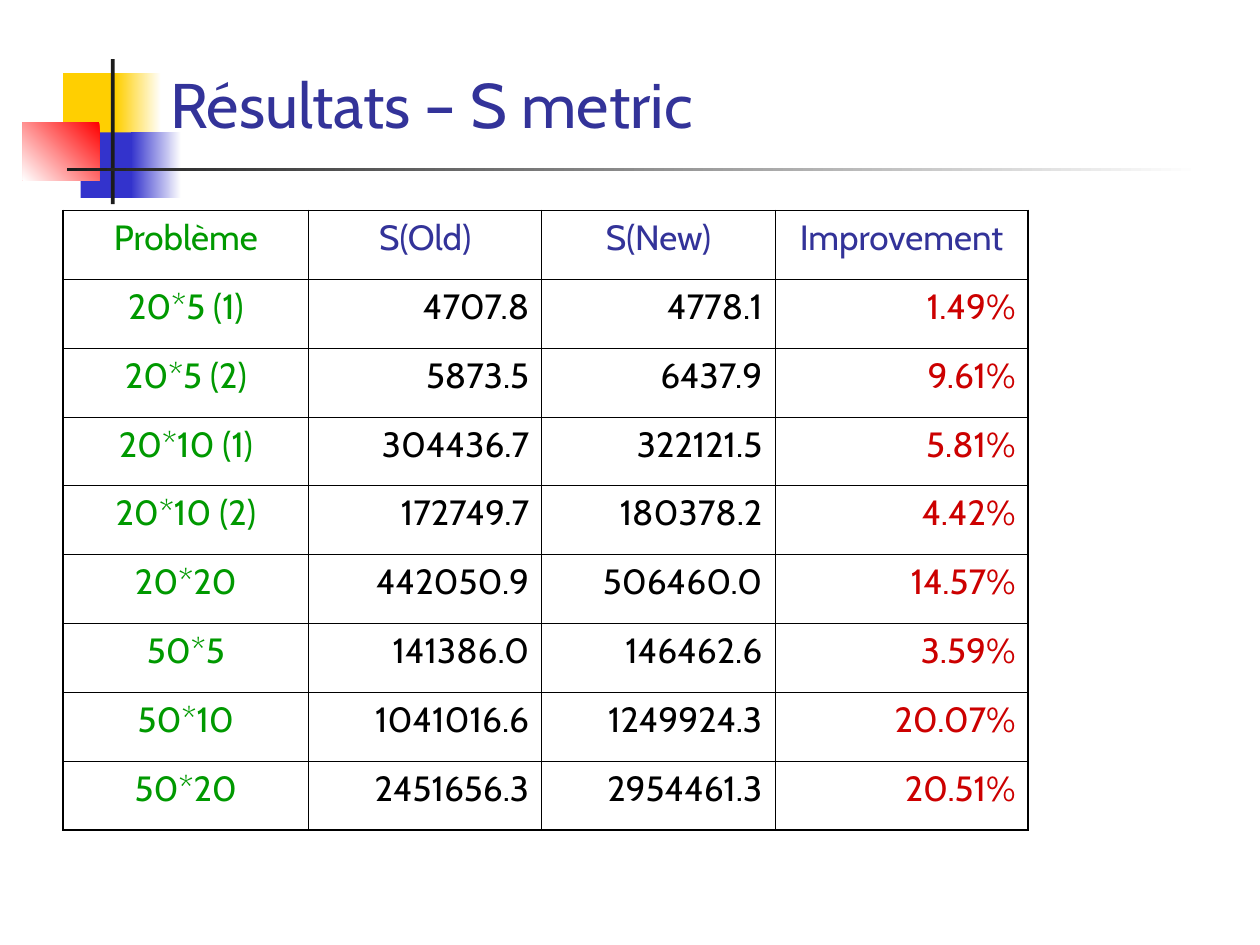
from dataclasses import dataclass

from lxml import etree
from pptx import Presentation
from pptx import util as u
from pptx.dml.color import RGBColor
from pptx.enum import shapes, text
from pptx.oxml.ns import qn


@dataclass(frozen=True)
class Theme:
    font: str = "Cabin"
    title_size: int = 36
    cell_size: int = 20
    space_before: int = 5
    outer_line: float = 1.08
    inner_line: float = 0.45
    white: str = "FFFFFF"
    black: str = "000000"
    title: str = "333399"
    problem: str = "009900"
    gain: str = "CC0000"
    yellow: str = "FFCF01"
    blue: str = "3333CC"
    red: str = "FF0000"
    bar: str = "1C1C1C"


THEME = Theme()
WIDTH, HEIGHT = u.Inches(10), u.Inches(7.5)

HEADERS = ["Problème", "S(Old)", "S(New)", "Improvement"]
RESULTS = [
    ["20*5 (1)", "4707.8", "4778.1", "1.49%"],
    ["20*5 (2)", "5873.5", "6437.9", "9.61%"],
    ["20*10 (1)", "304436.7", "322121.5", "5.81%"],
    ["20*10 (2)", "172749.7", "180378.2", "4.42%"],
    ["20*20", "442050.9", "506460.0", "14.57%"],
    ["50*5", "141386.0", "146462.6", "3.59%"],
    ["50*10", "1041016.6", "1249924.3", "20.07%"],
    ["50*20", "2451656.3", "2954461.3", "20.51%"],
]
COLUMN_WIDTHS = [1.95, 1.85, 1.85, 2.01]


def inches(*lengths):
    return [u.Inches(length) for length in lengths]


def color(code):
    return RGBColor.from_string(code)


def format_text(text_frame, size, code, alignment):
    paragraph = text_frame.paragraphs[0]
    paragraph.alignment = alignment
    for run in paragraph.runs:
        run.font.name = THEME.font
        run.font.size = u.Pt(size)
        run.font.color.rgb = color(code)
    return paragraph


def add_block(slide, box, colors, angle=180):
    """Draw a rectangle, solid for one colour and graded for two."""
    block = slide.shapes.add_shape(shapes.MSO_SHAPE.RECTANGLE, *inches(*box))
    block.shadow.inherit = False
    block.line.fill.background()
    if len(colors) == 1:
        block.fill.solid()
        block.fill.fore_color.rgb = color(colors[0])
        return
    block.fill.gradient()
    block.fill.gradient_angle = angle
    for stop, code in zip(block.fill.gradient_stops, colors):
        stop.color.rgb = color(code)


def add_ornament(slide, left, top):
    """Coloured squares crossed by two bars, placed from the top left corner."""
    blocks = [
        ((0.32, 0.11, 0.48, 0.52), [THEME.yellow], 0),
        ((0.74, 0.11, 0.36, 0.52), [THEME.white, THEME.yellow], 180),
        ((0.46, 0.58, 0.46, 0.52), [THEME.blue], 0),
        ((0.86, 0.58, 0.4, 0.52), [THEME.white, THEME.blue], 180),
        ((0, 0.5, 0.61, 0.46), [THEME.red, THEME.white], 225),
        ((0.7, 0, 0.03, 1.15), [THEME.bar], 0),
        ((0.35, 0.86, 9, 0.03), [THEME.white, THEME.bar], 180),
    ]
    for (x, y, width, height), colors, angle in blocks:
        add_block(slide, (left + x, top + y, width, height), colors, angle)


def add_title(slide, box, words):
    title = slide.shapes.title
    title.left, title.top, title.width, title.height = inches(*box)
    text_frame = title.text_frame
    text_frame.text = words
    text_frame.auto_size = text.MSO_AUTO_SIZE.NONE
    text_frame.word_wrap = True
    text_frame.vertical_anchor = text.MSO_ANCHOR.BOTTOM
    format_text(text_frame, THEME.title_size, THEME.title, text.PP_ALIGN.LEFT)
    # Bring the title in front of the ornament
    title.element.getparent().append(title.element)


def set_borders(cell, outer_sides):
    properties = cell._tc.get_or_add_tcPr()
    for index, side in enumerate("LRTB"):
        width = THEME.outer_line if side in outer_sides else THEME.inner_line
        line = etree.Element(qn(f"a:ln{side}"), w=str(u.Pt(width)))
        fill = etree.SubElement(line, qn("a:solidFill"))
        etree.SubElement(fill, qn("a:srgbClr"), val=THEME.black)
        properties.insert(index, line)


def cell_style(row, column):
    """Colour and alignment that follow from the place in the table."""
    if column == 0:
        return THEME.problem, text.PP_ALIGN.CENTER
    if row == 0:
        return THEME.title, text.PP_ALIGN.CENTER
    last = column == len(HEADERS) - 1
    return (THEME.gain if last else THEME.black), text.PP_ALIGN.RIGHT


def add_results_table(slide, box, rows):
    last_row, last_column = len(rows) - 1, len(HEADERS) - 1
    frame = slide.shapes.add_table(len(rows), len(HEADERS), *inches(*box))
    table = frame.table
    table.first_row = table.horz_banding = False
    for column, width in zip(table.columns, COLUMN_WIDTHS):
        column.width = u.Inches(width)
    for table_row in table.rows:
        table_row.height = u.Inches(box[3] / len(rows))

    for row, values in enumerate(rows):
        for column, value in enumerate(values):
            cell = table.cell(row, column)
            cell.text_frame.text = value
            cell.fill.background()
            code, alignment = cell_style(row, column)
            paragraph = format_text(cell.text_frame, THEME.cell_size, code, alignment)
            paragraph.space_before = u.Pt(THEME.space_before)
            edges = {"L": column == 0, "R": column == last_column,
                     "T": row == 0, "B": row == last_row}
            set_borders(cell, [side for side, outer in edges.items() if outer])


def main():
    presentation = Presentation()
    presentation.slide_width, presentation.slide_height = WIDTH, HEIGHT
    slide = presentation.slides.add_slide(presentation.slide_layouts[5])
    add_ornament(slide, 0.18, 0.47)
    add_title(slide, (1.25, 0.25, 8.5, 0.92), "Résultats – S metric")
    add_results_table(slide, (0.5, 1.67, sum(COLUMN_WIDTHS), 4.92), [HEADERS, *RESULTS])
    presentation.save("out.pptx")


if __name__ == "__main__":
    main()
